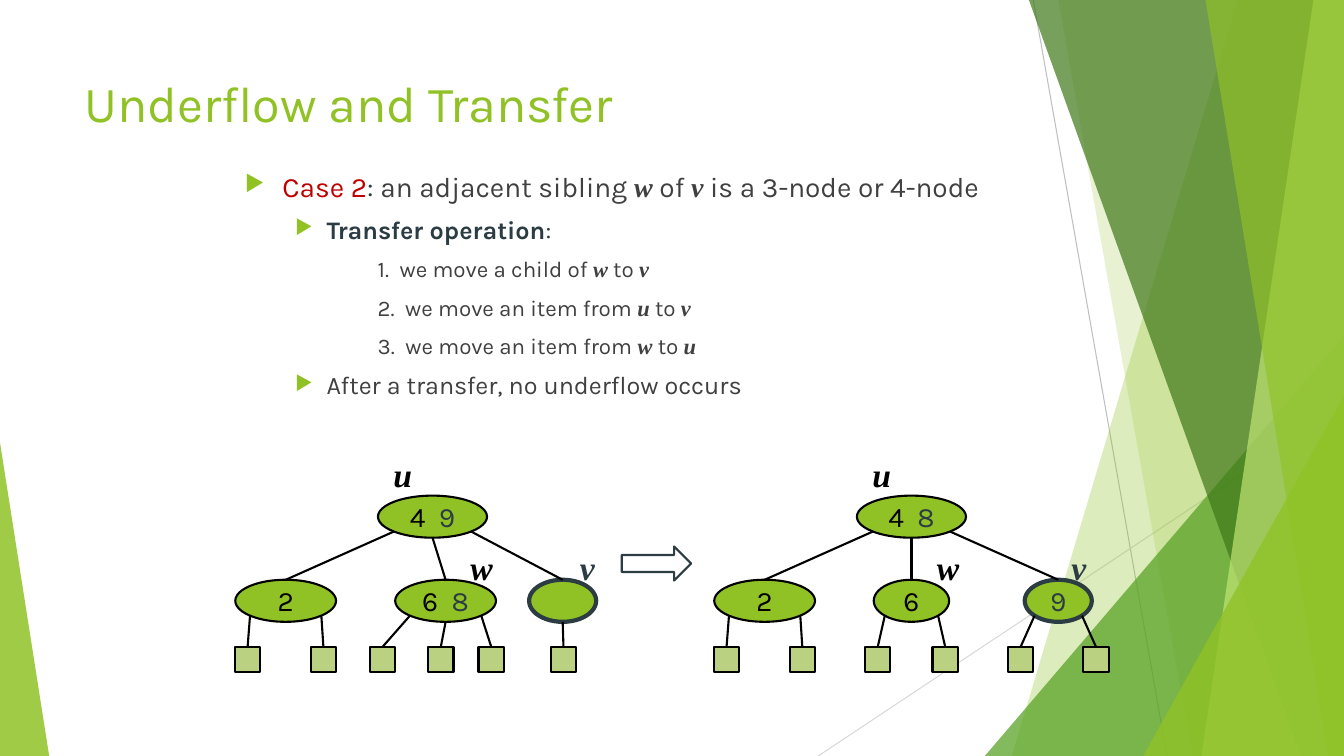
from math import cos, pi, sin

from lxml import etree
from pptx import Presentation
from pptx.dml.color import RGBColor
from pptx.enum.shapes import MSO_CONNECTOR, MSO_SHAPE
from pptx.enum.text import MSO_ANCHOR, PP_ALIGN
from pptx.oxml.ns import qn
from pptx.util import Cm, Pt

OVAL, SQUARE, TRIANGLE = MSO_SHAPE.OVAL, MSO_SHAPE.RECTANGLE, MSO_SHAPE.ISOSCELES_TRIANGLE
ARROW, STRAIGHT = MSO_SHAPE.RIGHT_ARROW, MSO_CONNECTOR.STRAIGHT
LEFT, CENTER = PP_ALIGN.LEFT, PP_ALIGN.CENTER
TOP, MIDDLE = MSO_ANCHOR.TOP, MSO_ANCHOR.MIDDLE

# Content: text spans are (words, format)
GREEN, DARK, GRAY, BLACK, LEAF = "90C226", "2C3C43", "404040", "000000", "B9D181"
PLAIN = {"color": GRAY}
STRONG = {"color": DARK, "bold": True}
SYMBOL = {"color": GRAY, "font": "Times New Roman", "bold": True, "italic": True}

TITLE = [([("Underflow and Transfer", {"color": GREEN})], {"size": 36})]
CASE = {"size": 20, "margin": 0.95, "hang": 0.95, "bullet": True}
POINT = {"size": 18, "level": 1, "margin": 2.06, "hang": 0.79, "bullet": True}
STEP = {"size": 16, "level": 1, "margin": 3.35}
BODY = [
    ([("Case 2", {"color": "C00000"}), (":", {"color": DARK}),
      (" an adjacent sibling ", PLAIN), ("w", SYMBOL), (" of ", PLAIN), ("v", SYMBOL),
      (" is a 3-node or 4-node", PLAIN)], CASE),
    ([("Transfer operation", STRONG), (":", {"color": DARK})], POINT),
    ([("1.  we move a child of ", PLAIN), ("w", SYMBOL), (" to ", PLAIN), ("v", SYMBOL)], STEP),
    ([("2.  we move an item from ", PLAIN), ("u", SYMBOL), (" to ", PLAIN), ("v", SYMBOL)], STEP),
    ([("3.  we move an item from ", PLAIN), ("w", SYMBOL), (" to ", PLAIN), ("u", SYMBOL)], STEP),
    ([("After a transfer, no underflow occurs", PLAIN)], POINT),
]

# Trees in cm: node = (center, width, kept keys, moved key, leaf centers)
BEFORE = {
    "shift": 0,
    "root": (10.9, 2.75, "4  ", "9"),
    "children": [(7.2, 2.54, "2", "", [6.24, 8.15]),
                 (11.23, 2.54, "6  ", "8", [9.64, 11.11, 12.38]),
                 (14.18, 1.69, "", "", [14.2])],
    "labels": {"u": 10.15, "w": 12.14, "v": 14.8},
}
AFTER = {
    "shift": 12.07,
    "root": (10.9, 2.75, "4  ", "8"),
    "children": [(7.2, 2.54, "2", "", [6.24, 8.15]),
                 (10.9, 1.9, "6", "", [10.05, 11.75]),
                 (14.6, 1.69, "", "9", [13.65, 15.55])],
    "labels": {"u": 10.15, "w": 11.82, "v": 15.12},
}
ROOT_TOP, CHILD_TOP, LEAF_TOP = 12.49, 14.61, 16.3
NODE_HEIGHT, LEAF_SIZE = 1.06, 0.64
LABEL_TOPS = {"u": 11.43, "w": 13.77, "v": 13.77}

# Backdrop in cm
WIDTH, HEIGHT = 33.87, 19.05
RAYS = [((26.04, 0), (29.41, HEIGHT), "BFBFBF"), ((WIDTH, 10.24), (20.62, HEIGHT), "D9D9D9")]
# A facet reaches the right edge: (top x, bottom x, color, opacity)
# A corner is a triangle on the bottom edge: (left, top, width, apex, color, opacity)
FACETS = [
    (31.19, 25.5, GREEN, 30),
    (26.67, 30.05, GREEN, 20),
    (24.82, 8.46, 9.05, 1, "54A021", 72),
    (25.93, 32.79, "3F7819", 70),
    (33.1, 30.28, "C0E474", 70),
    (30.38, 33.48, GREEN, 65),
    (28.81, 9.98, 5.06, 1, GREEN, 80),
    (0, 11.15, 1.24, 0, GREEN, 85),
]


def paint(target, color):
    if hasattr(target, "solid"):
        target.solid()
        target.fore_color.rgb = RGBColor.from_string(color)
    else:
        target.color.rgb = RGBColor.from_string(color)


def style(shape, fill=None, line=None, weight=1.5, opacity=100):
    shape.shadow.inherit = False
    if fill:
        paint(shape.fill, fill)
        if opacity < 100:
            tint = next(shape.element.spPr.iter(qn("a:srgbClr")))
            etree.SubElement(tint, qn("a:alpha"), val=str(opacity * 1000))
    else:
        shape.fill.background()
    if line:
        paint(shape.line, line)
        shape.line.width = Pt(weight)
    else:
        shape.line.fill.background()
    return shape


def add_bullet(properties):
    color = etree.SubElement(properties, qn("a:buClr"))
    etree.SubElement(color, qn("a:srgbClr"), val=GREEN)
    etree.SubElement(properties, qn("a:buSzPct"), val="80000")
    etree.SubElement(properties, qn("a:buChar"), char="▶")


def write(box, paragraphs, align=LEFT, anchor=TOP, wrap=True, inset=None, spacing=None, before=0):
    frame = box.text_frame
    frame.word_wrap = wrap
    frame.vertical_anchor = anchor
    if inset is not None:
        frame.margin_left = frame.margin_right = Cm(inset)
        frame.margin_top = frame.margin_bottom = Cm(inset)
    for index, (spans, layout) in enumerate(paragraphs):
        para = frame.add_paragraph() if index else frame.paragraphs[0]
        para.alignment = align
        para.level = layout.get("level", 0)
        para.space_before = Pt(before if index else 0)
        if spacing:
            para.line_spacing = spacing
        properties = para._p.get_or_add_pPr()
        properties.set("marL", str(Cm(layout.get("margin", 0))))
        properties.set("indent", str(-Cm(layout.get("hang", 0))))
        if layout.get("bullet"):
            add_bullet(properties)
        for words, look in spans:
            span = para.add_run()
            span.text = words
            span.font.name = look.get("font", "Karla")
            span.font.size = Pt(layout["size"])
            span.font.bold = look.get("bold", False)
            span.font.italic = look.get("italic", False)
            paint(span.font.fill, look["color"])


def add_box(page, left, top, width, height):
    return page.shapes.add_textbox(Cm(left), Cm(top), Cm(width), Cm(height))


def add_shape(page, kind, left, top, width, height, **look):
    return style(page.shapes.add_shape(kind, Cm(left), Cm(top), Cm(width), Cm(height)), **look)


def add_line(page, start, end, color, weight, target=None):
    line = page.shapes.add_connector(STRAIGHT, *(Cm(value) for value in start + end))
    paint(line.line, color)
    line.line.width = Pt(weight)
    etree.SubElement(line.element.spPr, qn("a:effectLst"))
    if target is not None:
        line.end_connect(target, 0)


def add_backdrop(page):
    for start, end, color in RAYS:
        add_line(page, start, end, color, 0.75)
    for *place, color, opacity in FACETS:
        if len(place) == 2:
            upper, lower = place
            builder = page.shapes.build_freeform(Cm(upper), 0)
            builder.add_line_segments([(Cm(WIDTH), 0), (Cm(WIDTH), Cm(HEIGHT)),
                                       (Cm(lower), Cm(HEIGHT))], close=True)
            style(builder.convert_to_shape(), fill=color, opacity=opacity)
        else:
            left, top, width, apex = place
            corner = add_shape(page, TRIANGLE, left, top, width, HEIGHT - top,
                               fill=color, opacity=opacity)
            corner.adjustments[0] = apex


def add_node(page, center, top, width, kept, moved, line=BLACK, weight=1.5):
    node = add_shape(page, OVAL, center - width / 2, top, width, NODE_HEIGHT,
                     fill=GREEN, line=line, weight=weight)
    spans = [(keys, {"color": color}) for keys, color in ((kept, BLACK), (moved, DARK)) if keys]
    if spans:
        write(node, [(spans, {"size": 20})], align=CENTER, anchor=MIDDLE, wrap=False)
    return node


def add_edges(page, center, top, width, targets):
    """Edges leave the lower rim of an oval at 45, 90 or 135 degrees."""
    angles = {1: [90], 2: [135, 45], 3: [135, 90, 45]}[len(targets)]
    for angle, (target, x, y) in zip(angles, targets):
        turn = angle * pi / 180
        start = (center + width / 2 * cos(turn), top + NODE_HEIGHT / 2 * (1 + sin(turn)))
        add_line(page, start, (x, y), BLACK, 1.5, target)


def add_tree(page, tree):
    shift = tree["shift"]
    center, width, kept, moved = tree["root"]
    add_node(page, center + shift, ROOT_TOP, width, kept, moved)
    branches = []
    for index, (x, breadth, keys, extra, leaves) in enumerate(tree["children"]):
        rim = {"line": DARK, "weight": 3} if index == 2 else {}
        child = add_node(page, x + shift, CHILD_TOP, breadth, keys, extra, **rim)
        branches.append((child, x + shift, CHILD_TOP))
        twigs = []
        for leaf in leaves:
            square = add_shape(page, SQUARE, leaf + shift - LEAF_SIZE / 2, LEAF_TOP,
                               LEAF_SIZE, LEAF_SIZE, fill=LEAF, line=BLACK)
            twigs.append((square, leaf + shift, LEAF_TOP))
        add_edges(page, x + shift, CHILD_TOP, breadth, twigs)
    add_edges(page, center + shift, ROOT_TOP, width, branches)
    for name, x in tree["labels"].items():
        look = dict(SYMBOL, color=DARK if name == "v" else BLACK)
        write(add_box(page, x + shift - 0.3, LABEL_TOPS[name], 0.6, 1.02),
              [([(name, look)], {"size": 24})], align=CENTER, wrap=False, inset=0)


def main():
    deck = Presentation()
    deck.slide_width, deck.slide_height = Cm(WIDTH), Cm(HEIGHT)
    page = deck.slides.add_slide(deck.slide_layouts[6])
    add_backdrop(page)
    write(add_box(page, 1.88, 1.7, 23.88, 3.66), TITLE)
    write(add_box(page, 5.92, 4.24, 22.02, 6.55), BODY, spacing=0.9, before=10)
    add_tree(page, BEFORE)
    add_shape(page, ARROW, 15.67, 13.77, 1.75, 0.86, line=DARK)
    add_tree(page, AFTER)
    deck.save("out.pptx")


if __name__ == "__main__":
    main()
